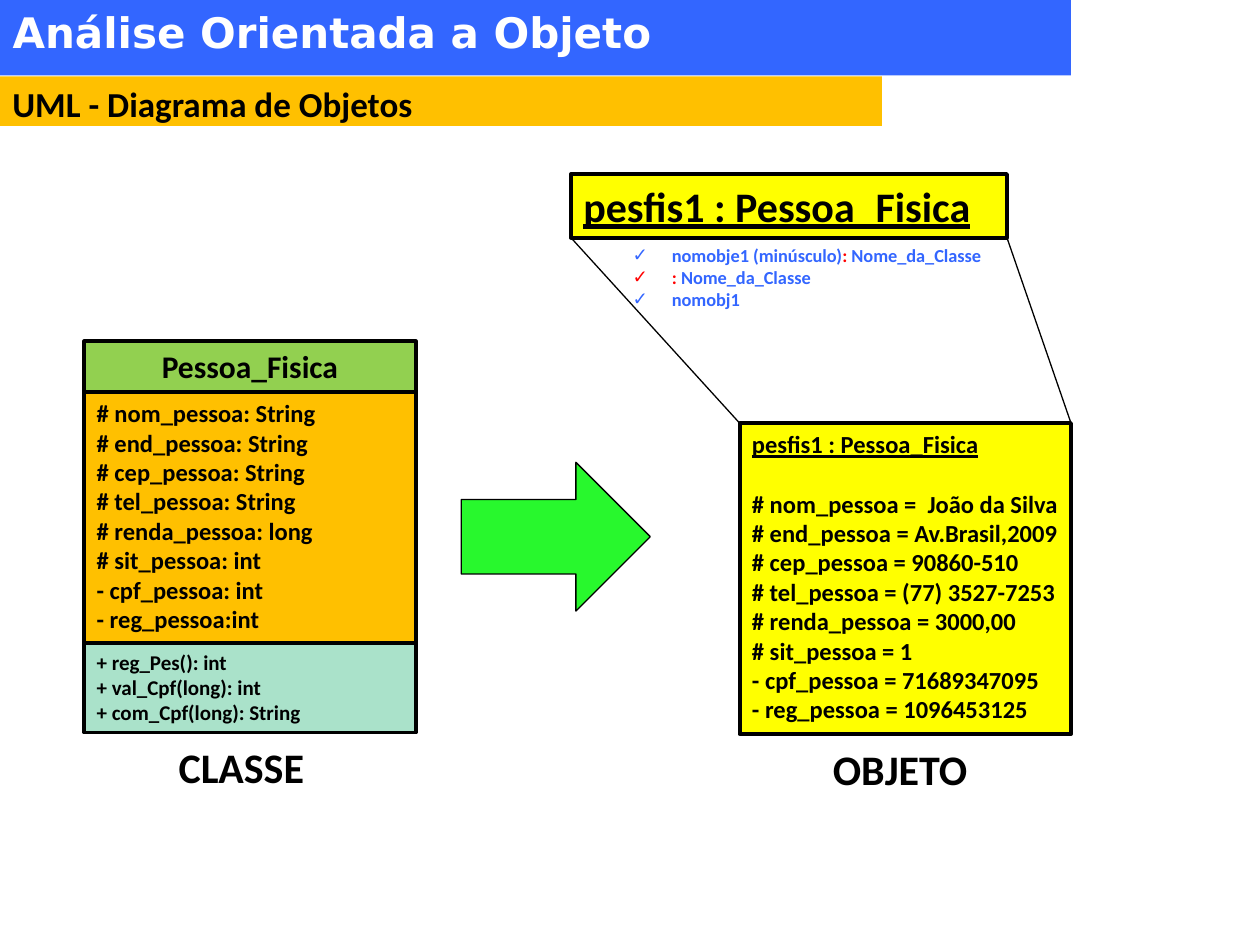
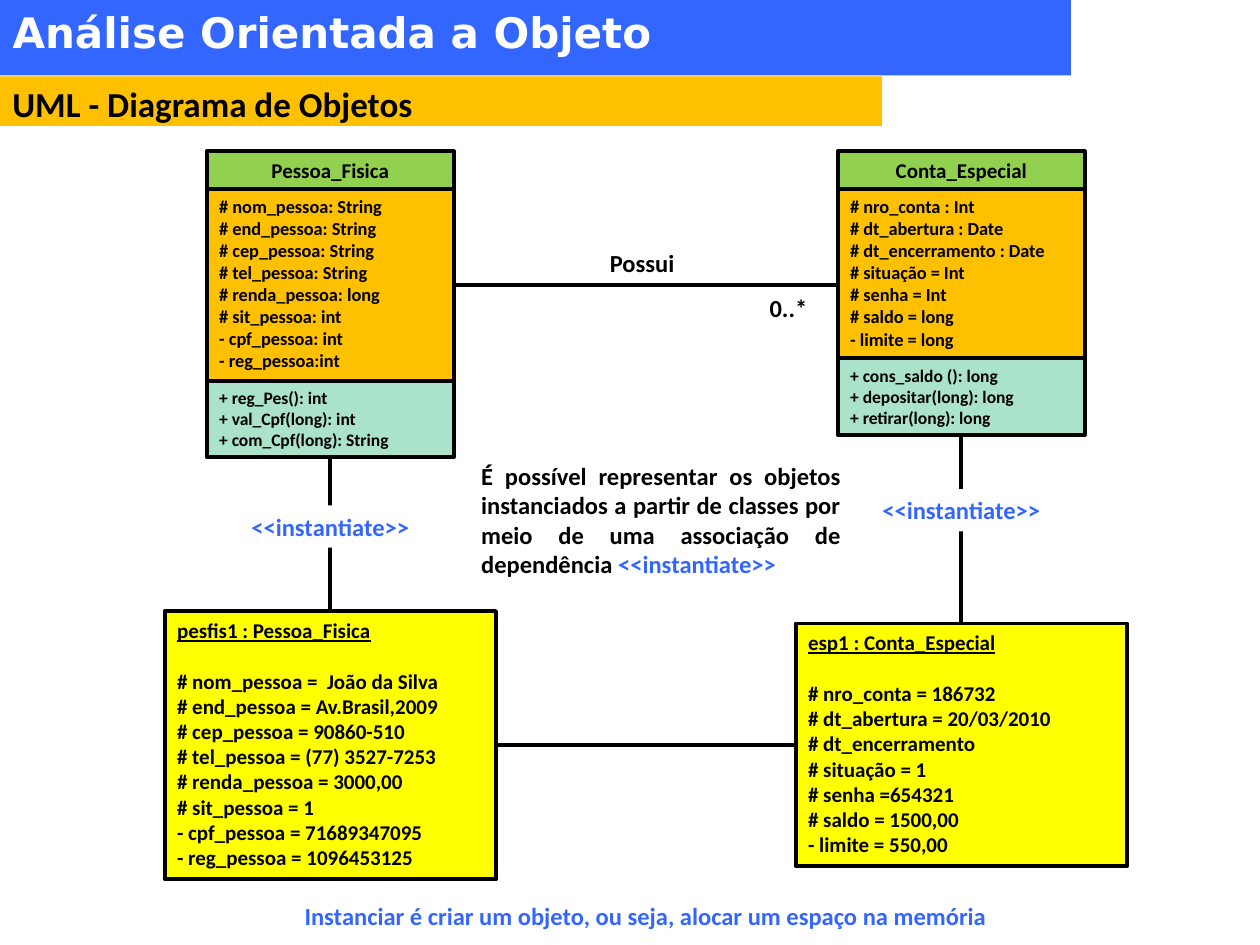
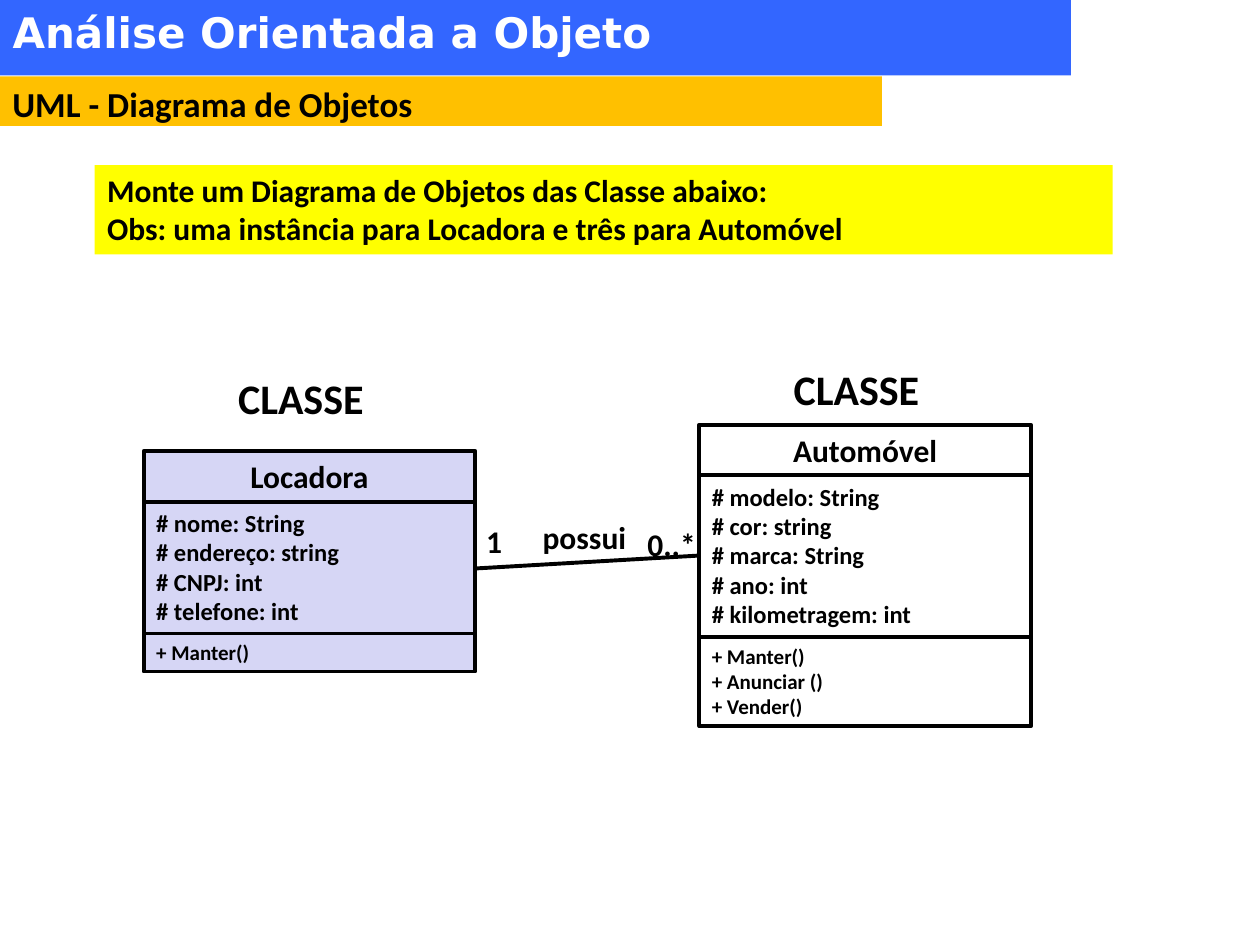
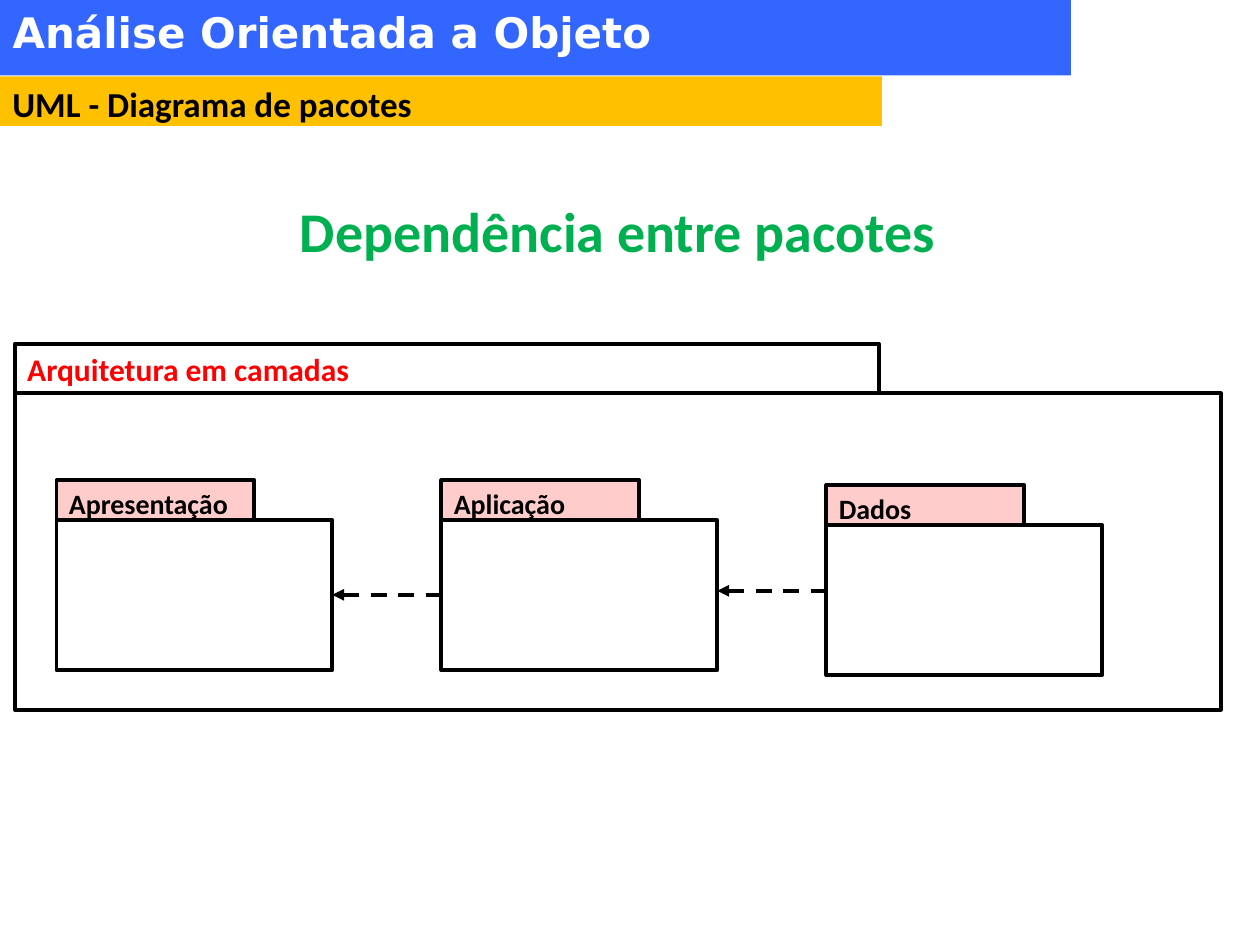
from lxml.etree import SubElement
from pptx import Presentation
from pptx.dml.color import RGBColor
from pptx.enum.dml import MSO_LINE
from pptx.enum.shapes import MSO_CONNECTOR, MSO_SHAPE
from pptx.enum.text import MSO_ANCHOR, MSO_AUTO_SIZE, PP_ALIGN
from pptx.oxml.ns import qn
from pptx.util import Cm, Pt

BLACK, WHITE, RED = "000000", "FFFFFF", "FF0000"
BLUE, AMBER, YELLOW = "3366FF", "FFC000", "FFFF00"
GREEN, MINT, LILAC, PINK = "92D050", "AAE2CA", "D6D6F5", "FFCCCC"
ARROW_GREEN, HEADING_GREEN = "28F82D", "00B050"
BODY_FONT, TITLE_FONT = "Calibri", "DejaVu Sans"
LINE_WIDTH = 2.25
CLASS_COLORS = (GREEN, AMBER, MINT)

PERSON_ATTRIBUTES = [
    "# nom_pessoa: String", "# end_pessoa: String", "# cep_pessoa: String",
    "# tel_pessoa: String", "# renda_pessoa: long", "# sit_pessoa: int",
    "- cpf_pessoa: int", "- reg_pessoa:int",
]
PERSON_METHODS = ["+ reg_Pes(): int", "+ val_Cpf(long): int", "+ com_Cpf(long): String"]
PERSON_OBJECT = "pesfis1 : Pessoa_Fisica"
PERSON_VALUES = [
    "# nom_pessoa =  João da Silva", "# end_pessoa = Av.Brasil,2009",
    "# cep_pessoa = 90860-510", "# tel_pessoa = (77) 3527-7253",
    "# renda_pessoa = 3000,00", "# sit_pessoa = 1",
    "- cpf_pessoa = 71689347095", "- reg_pessoa = 1096453125",
]
ACCOUNT_ATTRIBUTES = [
    "# nro_conta : Int", "# dt_abertura : Date", "# dt_encerramento : Date",
    "# situação = Int", "# senha = Int", "# saldo = long", "- limite = long",
]
ACCOUNT_METHODS = ["+ cons_saldo (): long", "+ depositar(long): long", "+ retirar(long): long"]
ACCOUNT_VALUES = [
    "# nro_conta = 186732", "# dt_abertura = 20/03/2010", "# dt_encerramento",
    "# situação = 1", "# senha =654321", "# saldo = 1500,00", "- limite = 550,00",
]


def rgb(color):
    """Turn a hex string into a colour."""
    return RGBColor.from_string(color)


def text_height(line_count, size):
    """Give the height in centimetres of a box that fits its lines."""
    return 0.25 + line_count * size * 0.043


def place(shape, left, top, width, height):
    """Move and size a shape, in centimetres."""
    shape.left, shape.top = Cm(left), Cm(top)
    shape.width, shape.height = Cm(width), Cm(height)


def paint(shape, fill=None, line=None, line_width=LINE_WIDTH):
    """Set the fill and outline of a shape and remove its shadow."""
    shape.shadow.inherit = False
    if fill:
        shape.fill.solid()
        shape.fill.fore_color.rgb = rgb(fill)
    else:
        shape.fill.background()
    if line:
        shape.line.color.rgb = rgb(line)
        shape.line.width = Pt(line_width)
    else:
        shape.line.fill.background()


def write(shape, lines, size, color=BLACK, align=PP_ALIGN.LEFT, font=BODY_FONT, wrap=True):
    """Write lines, each a string or a list of (text, colour) runs."""
    frame = shape.text_frame
    frame.word_wrap = wrap
    frame.auto_size = MSO_AUTO_SIZE.NONE
    frame.vertical_anchor = MSO_ANCHOR.TOP
    for index, line in enumerate(lines):
        paragraph = frame.paragraphs[0] if index == 0 else frame.add_paragraph()
        paragraph.alignment = align
        paragraph.space_before = Pt(0)
        paragraph.font.name = font
        paragraph.font.size = Pt(size)
        paragraph.font.bold = True
        paragraph.font.color.rgb = rgb(color)
        if isinstance(line, str):
            paragraph.add_run().text = line
            continue
        for text, run_color in line:
            run = paragraph.add_run()
            run.text = text
            run.font.color.rgb = rgb(run_color)


def add_rectangle(shapes, box, fill=None, line=None):
    """Add a painted rectangle."""
    shape = shapes.add_shape(MSO_SHAPE.RECTANGLE, *map(Cm, box))
    paint(shape, fill, line)
    return shape


def add_panel(shapes, left, top, width, lines, size, fill=None, line=None, **style):
    """Add a rectangle as tall as its text."""
    box = left, top, width, text_height(len(lines), size)
    shape = add_rectangle(shapes, box, fill, line)
    write(shape, lines, size, **style)
    return shape


def add_label(shapes, left, top, width, text, size, line_count=1, **style):
    """Add one paragraph of free text."""
    box = left, top, width, text_height(line_count, size)
    write(shapes.add_textbox(*map(Cm, box)), [text], size, **style)


def add_line(shapes, start, end, width=LINE_WIDTH, dashed_arrow=False):
    """Join two points with a plain line or a dashed arrow."""
    connector = shapes.add_connector(MSO_CONNECTOR.STRAIGHT, *map(Cm, start + end))
    connector.line.color.rgb = rgb(BLACK)
    connector.line.width = Pt(width)
    properties = connector.element.spPr
    if dashed_arrow:
        connector.line.dash_style = MSO_LINE.DASH
        SubElement(properties.find(qn("a:ln")), qn("a:tailEnd"), type="triangle")
    SubElement(properties, qn("a:effectLst"))


def add_class(shapes, left, top, width, name, attributes, methods, sizes, fills):
    """Stack name, attributes and methods and return the bottom edge."""
    sections = ([name], attributes, methods)
    for index, (lines, size, fill) in enumerate(zip(sections, sizes, fills)):
        align = PP_ALIGN.LEFT if index else PP_ALIGN.CENTER
        add_panel(shapes, left, top, width, lines, size, fill, BLACK, align=align)
        top += text_height(len(lines), size)
    return top


def add_object(shapes, left, top, width, name, values, size):
    """Add an object box with an underlined name, a gap and its values."""
    box = left, top, width, text_height(len(values) + 2, size)
    shape = add_rectangle(shapes, box, YELLOW, BLACK)
    write(shape, [name] + values, size)
    heading = shape.text_frame.paragraphs[0]
    heading.font.underline = True
    heading.space_after = Pt(size * 1.22)


def add_package(slide, left, top, tab, body, name, size, color, fill):
    """Group a package body with its name tab; tab and body are (width, height)."""
    shapes = slide.shapes.add_group_shape().shapes
    add_rectangle(shapes, (left, top + tab[1], *body), WHITE, BLACK)
    write(add_rectangle(shapes, (left, top, *tab), fill, BLACK), [name], size, color)


def add_caption(shapes, left, top, text):
    """Add the large word that names a diagram part."""
    add_panel(shapes, left, top, 3.4, [text], 24, WHITE)


def add_bullets(placeholder, box, lines, size):
    """Turn the body placeholder into a list with check marks."""
    place(placeholder, *box)
    write(placeholder, lines, size)
    for paragraph in placeholder.text_frame.paragraphs:
        properties = paragraph._p.get_or_add_pPr()
        properties.set("marL", str(Cm(0.79)))
        properties.set("indent", str(-Cm(0.79)))
        SubElement(properties, qn("a:buFont"), typeface="DejaVu Sans")
        SubElement(properties, qn("a:buChar"), char="✓")
        default_font = properties.find(qn("a:defRPr"))
        if default_font is not None:
            properties.append(default_font)


def add_slide(presentation, subject, layout=5):
    """Add a slide with the shared title and subject bands."""
    slide = presentation.slides.add_slide(presentation.slide_layouts[layout])
    title = slide.shapes.title
    place(title, 0, 0, 21.59, 1.52)
    paint(title, BLUE)
    write(title, ["Análise Orientada a Objeto"], 24, WHITE, font=TITLE_FONT)
    band = add_rectangle(slide.shapes, (0, 1.54, 17.78, 1), AMBER)
    write(band, [f"UML - {subject}"], 20)
    return slide


def build_class_and_object(presentation):
    """Show a class beside an object made from it."""
    slide = add_slide(presentation, "Diagrama de Objetos", layout=1)
    shapes = slide.shapes
    width = 6.68
    add_class(shapes, 1.7, 6.88, width, "Pessoa_Fisica", PERSON_ATTRIBUTES,
              PERSON_METHODS, (18, 14, 12), CLASS_COLORS)
    object_left, object_top = 14.91, 8.53
    add_object(shapes, object_left, object_top, width, PERSON_OBJECT, PERSON_VALUES, 14)
    arrow = shapes.add_shape(MSO_SHAPE.RIGHT_ARROW, Cm(9.3), Cm(9.32), Cm(3.81), Cm(3))
    paint(arrow, ARROW_GREEN, BLACK, 0.75)

    name_left, name_top, name_width = 11.51, 3.51, 8.79
    name = add_panel(shapes, name_left, name_top, name_width, [PERSON_OBJECT], 24, YELLOW, BLACK)
    name.text_frame.paragraphs[0].font.underline = True
    name_bottom = name_top + text_height(1, 24)
    for object_x, name_x in ((object_left, name_left),
                             (object_left + width, name_left + name_width)):
        add_line(shapes, (object_x, object_top), (name_x, name_bottom), 0.75)
    add_bullets(slide.placeholders[1], (12.5, name_bottom, 7.59, 1.6), [
        [("nomobje1 (minúsculo)", BLUE), (": ", RED), ("Nome_da_Classe", BLUE)],
        [(": ", RED), ("Nome_da_Classe", BLUE)],
        [("nomobj1", BLUE)],
    ], 10.5)
    add_caption(shapes, 3.35, 14.83, "CLASSE")
    add_caption(shapes, 16.54, 14.86, "OBJETO")


def build_instantiation(presentation):
    """Show two related classes and the objects instantiated from them."""
    shapes = add_slide(presentation, "Diagrama de Objetos").shapes
    class_top, class_width, object_width = 3.05, 4.98, 6.68
    person_left, account_left = 4.17, 16.89
    columns = [
        (person_left, "Pessoa_Fisica", PERSON_ATTRIBUTES, PERSON_METHODS,
         12.32, PERSON_OBJECT, PERSON_VALUES, 10.19),
        (account_left, "Conta_Especial", ACCOUNT_ATTRIBUTES, ACCOUNT_METHODS,
         12.57, "esp1 : Conta_Especial", ACCOUNT_VALUES, 9.86),
    ]
    for left, name, attributes, methods, object_top, object_name, values, label_top in columns:
        bottom = add_class(shapes, left, class_top, class_width, name, attributes,
                           methods, (12, 10.5, 10), CLASS_COLORS)
        center = left + class_width / 2
        add_object(shapes, center - object_width / 2, object_top, object_width,
                   object_name, values, 12)
        add_line(shapes, (center, bottom), (center, object_top))
        add_panel(shapes, center - 2, label_top, 4, ["<<instantiate>>"], 14, WHITE,
                  color=BLUE, align=PP_ALIGN.CENTER)
    add_line(shapes, (person_left + class_width, 5.74), (account_left, 5.74))
    add_line(shapes, (9.98, 15.01), (16.05, 15.01))
    add_label(shapes, 11.66, 4.88, 2.57, "Possui", 14, align=PP_ALIGN.CENTER)
    add_label(shapes, 14.61, 5.79, 2.57, "0..*", 14, align=PP_ALIGN.CENTER)
    add_label(shapes, 5.89, 18.03, 14.91,
              "Instanciar é criar um objeto, ou seja, alocar um espaço na memória", 14, color=BLUE)
    add_label(shapes, 9.45, 9.17, 7.75, [
        ("É possível representar os objetos instanciados a partir de classes "
         "por meio de uma associação de dependência ", BLACK),
        ("<<instantiate>>", BLUE),
    ], 14, line_count=4, align=PP_ALIGN.JUSTIFY)


def build_exercise(presentation):
    """Show the exercise and its two classes."""
    shapes = add_slide(presentation, "Diagrama de Objetos").shapes
    add_panel(shapes, 1.91, 3.33, 20.52, [
        "Monte um Diagrama de Objetos das Classe abaixo:",
        "Obs: uma instância para Locadora e três para Automóvel",
    ], 18, YELLOW, align=PP_ALIGN.JUSTIFY)
    sizes, width = (18, 14, 12), 6.68
    rental_left, car_left = 2.9, 14.1
    add_class(shapes, rental_left, 9.09, width, "Locadora",
              ["# nome: String", "# endereço: string", "# CNPJ: int", "# telefone: int"],
              ["+ Manter()"], sizes, (LILAC,) * 3)
    add_class(shapes, car_left, 8.56, width, "Automóvel",
              ["# modelo: String", "# cor: string", "# marca: String", "# ano: int",
               "# kilometragem: int"],
              ["+ Manter()", "+ Anunciar ()", "+ Vender()"], sizes, (None,) * 3)
    add_line(shapes, (rental_left + width, 11.46), (car_left, 11.2))
    for left, top, label_width, text in ((10.69, 10.31, 2.21, "possui"),
                                         (12.8, 10.46, 1.5, "0..*"),
                                         (9.55, 10.39, 0.84, "1")):
        add_label(shapes, left, top, label_width, text, 18, wrap=False)
    add_caption(shapes, rental_left + 1.65, 7.39, "CLASSE")
    add_caption(shapes, car_left + 1.65, 7.21, "CLASSE")


def build_packages(presentation):
    """Show the dependencies between layered packages."""
    slide = add_slide(presentation, "Diagrama de pacotes")
    add_label(slide.shapes, 2.31, 3.84, 20.29, "Dependência entre pacotes", 32,
              color=HEADING_GREEN, align=PP_ALIGN.CENTER)
    add_package(slide, 0.3, 6.93, (17.42, 1), (24.31, 6.38),
                "Arquitetura em camadas", 18, RED, WHITE)
    first_left, pitch, body = 1.14, 7.76, (5.56, 3.02)
    layers = (("Apresentação", 9.68), ("Aplicação", 9.68), ("Dados", 9.78))
    for index, (name, top) in enumerate(layers):
        add_package(slide, first_left + index * pitch, top, (3.99, 0.81), body,
                    name, 16, BLACK, PINK)
    for index, arrow_top in enumerate((11.99, 11.91)):
        left = first_left + index * pitch
        add_line(slide.shapes, (left + pitch, arrow_top), (left + body[0], arrow_top),
                 dashed_arrow=True)


def main():
    """Build the four slides and save them."""
    presentation = Presentation()
    presentation.slide_width, presentation.slide_height = Cm(25.4), Cm(19.05)
    build_class_and_object(presentation)
    build_instantiation(presentation)
    build_exercise(presentation)
    build_packages(presentation)
    presentation.save("out.pptx")


if __name__ == "__main__":
    main()
